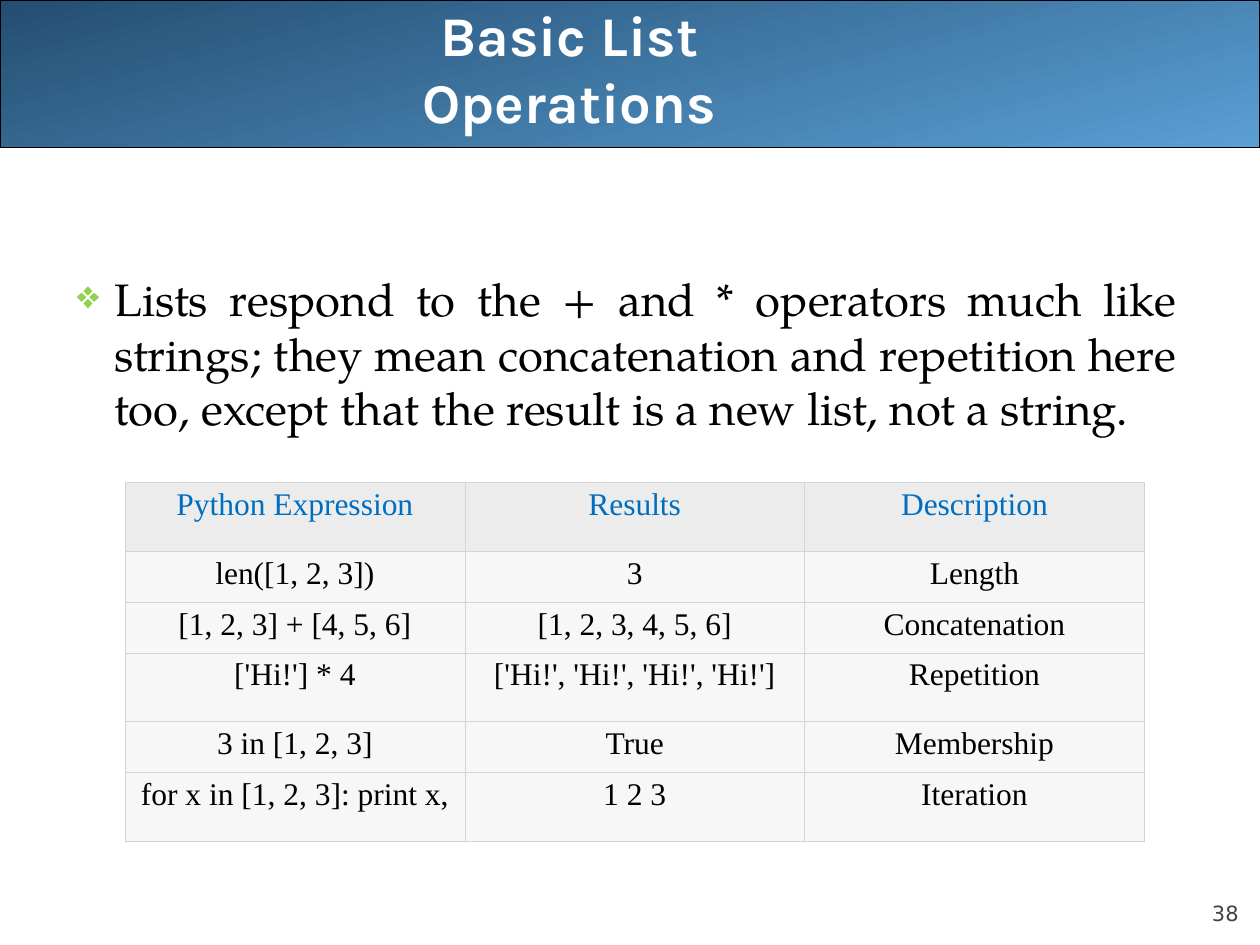
from dataclasses import dataclass

from lxml import etree
from pptx import Presentation
from pptx import util as u
from pptx.dml.color import RGBColor
from pptx.enum import shapes, text
from pptx.oxml import ns


@dataclass(frozen=True)
class Theme:
    band_dark: str = "244E72"
    band_light: str = "5A9FD4"
    white: str = "FFFFFF"
    black: str = "000000"
    bullet: str = "92D050"
    header_text: str = "006EC0"
    header_fill: str = "ECECEC"
    body_fill: str = "F7F7F7"
    border: str = "D4D4D4"
    number: str = "424242"
    title_size: int = 32
    body_size: int = 26
    table_size: int = 18
    number_size: int = 12


theme = Theme()


def style(p, font, size, color, align, bold=False):
    p.alignment = align
    for r in p.runs:
        r.font.name = font
        r.font.size = u.Pt(size)
        r.font.bold = bold
        r.font.color.rgb = RGBColor.from_string(color)


def add_text(s, box, words, anchor):
    tf = s.shapes.add_textbox(*(u.Cm(v) for v in box)).text_frame
    tf.word_wrap = True
    tf.vertical_anchor = anchor
    tf.margin_left = tf.margin_right = tf.margin_top = tf.margin_bottom = 0
    tf.text = words
    return tf


prs = Presentation()
prs.slide_width, prs.slide_height = u.Cm(25.4), u.Cm(19.05)
s = prs.slides.add_slide(prs.slide_layouts[6])

# Title band
band = s.shapes.add_shape(shapes.MSO_SHAPE.ROUNDED_RECTANGLE,
                          0, 0, prs.slide_width, u.Cm(2.97))
band.adjustments[0] = 0
band.shadow.inherit = False
band.fill.gradient()
band.fill.gradient_angle = 285
for stop, color in zip(band.fill.gradient_stops,
                       (theme.band_dark, theme.band_light)):
    stop.color.rgb = RGBColor.from_string(color)
band.line.color.rgb = RGBColor.from_string(theme.black)
band.line.width = u.Pt(0.75)

# Slide number
tf = add_text(s, (22.86, 17.65, 2.11, 1.02), "38", text.MSO_ANCHOR.BOTTOM)
style(tf.paragraphs[0], "DejaVu Sans", theme.number_size, theme.number,
      text.PP_ALIGN.RIGHT)

# Title
tf = add_text(s, (6.55, -0.03, 9.86, 2.74), "Basic List Operations",
              text.MSO_ANCHOR.MIDDLE)
tf.margin_top = u.Cm(0.06)
style(tf.paragraphs[0], "Karla", theme.title_size, theme.white,
      text.PP_ALIGN.CENTER, bold=True)

# Bulleted statement
tf = add_text(s, (1.5, 5.41, 22.45, 4.45),
              "Lists respond to the + and * operators much like strings; "
              "they mean concatenation and repetition here too, "
              "except that the result is a new list, not a string.",
              text.MSO_ANCHOR.TOP)
tf.margin_top = u.Cm(0.06)
tf.margin_right = u.Cm(0.2)
p = tf.paragraphs[0]
pPr = p._p.get_or_add_pPr()
pPr.set("marL", str(u.Cm(0.81)))
pPr.set("indent", str(u.Cm(-0.76)))
bullet_color = etree.SubElement(pPr, ns.qn("a:buClr"))
etree.SubElement(bullet_color, ns.qn("a:srgbClr"), val=theme.bullet)
etree.SubElement(pPr, ns.qn("a:buSzPct"), val="87000")
etree.SubElement(pPr, ns.qn("a:buChar"), char="❖")
style(p, "TeX Gyre Pagella", theme.body_size, theme.black,
      text.PP_ALIGN.JUSTIFY)

# Table of list operations
rows = [
    ("Python Expression", "Results", "Description"),
    ("len([1, 2, 3])", "3", "Length"),
    ("[1, 2, 3] + [4, 5, 6]", "[1, 2, 3, 4, 5, 6]", "Concatenation"),
    ("['Hi!'] * 4", "['Hi!', 'Hi!', 'Hi!', 'Hi!']", "Repetition"),
    ("3 in [1, 2, 3]", "True", "Membership"),
    ("for x in [1, 2, 3]: print x,", "1 2 3", "Iteration"),
]
short, tall = 1.02, 1.39
heights = (tall, short, short, tall, short, tall)
column = 6.85
table = s.shapes.add_table(len(rows), 3, u.Cm(2.52), u.Cm(9.73),
                           u.Cm(3 * column), u.Cm(sum(heights))).table
for col in table.columns:
    col.width = u.Cm(column)

for i, (words, height) in enumerate(zip(rows, heights)):
    table.rows[i].height = u.Cm(height)
    fill, color = ((theme.body_fill, theme.black) if i
                   else (theme.header_fill, theme.header_text))
    for j, word in enumerate(words):
        cell = table.cell(i, j)
        cell.text_frame.text = word
        cell.margin_left = cell.margin_right = cell.margin_bottom = 0
        cell.margin_top = u.Cm(0.1)
        style(cell.text_frame.paragraphs[0], "Times New Roman",
              theme.table_size, color, text.PP_ALIGN.CENTER)
        # Borders come before the fill in the cell properties
        tcPr = cell._tc.get_or_add_tcPr()
        for side in ("lnL", "lnR", "lnT", "lnB"):
            ln = etree.SubElement(tcPr, ns.qn("a:" + side),
                                  w=str(u.Pt(0.34)))
            solid = etree.SubElement(ln, ns.qn("a:solidFill"))
            etree.SubElement(solid, ns.qn("a:srgbClr"), val=theme.border)
        cell.fill.solid()
        cell.fill.fore_color.rgb = RGBColor.from_string(fill)

prs.save("out.pptx")
